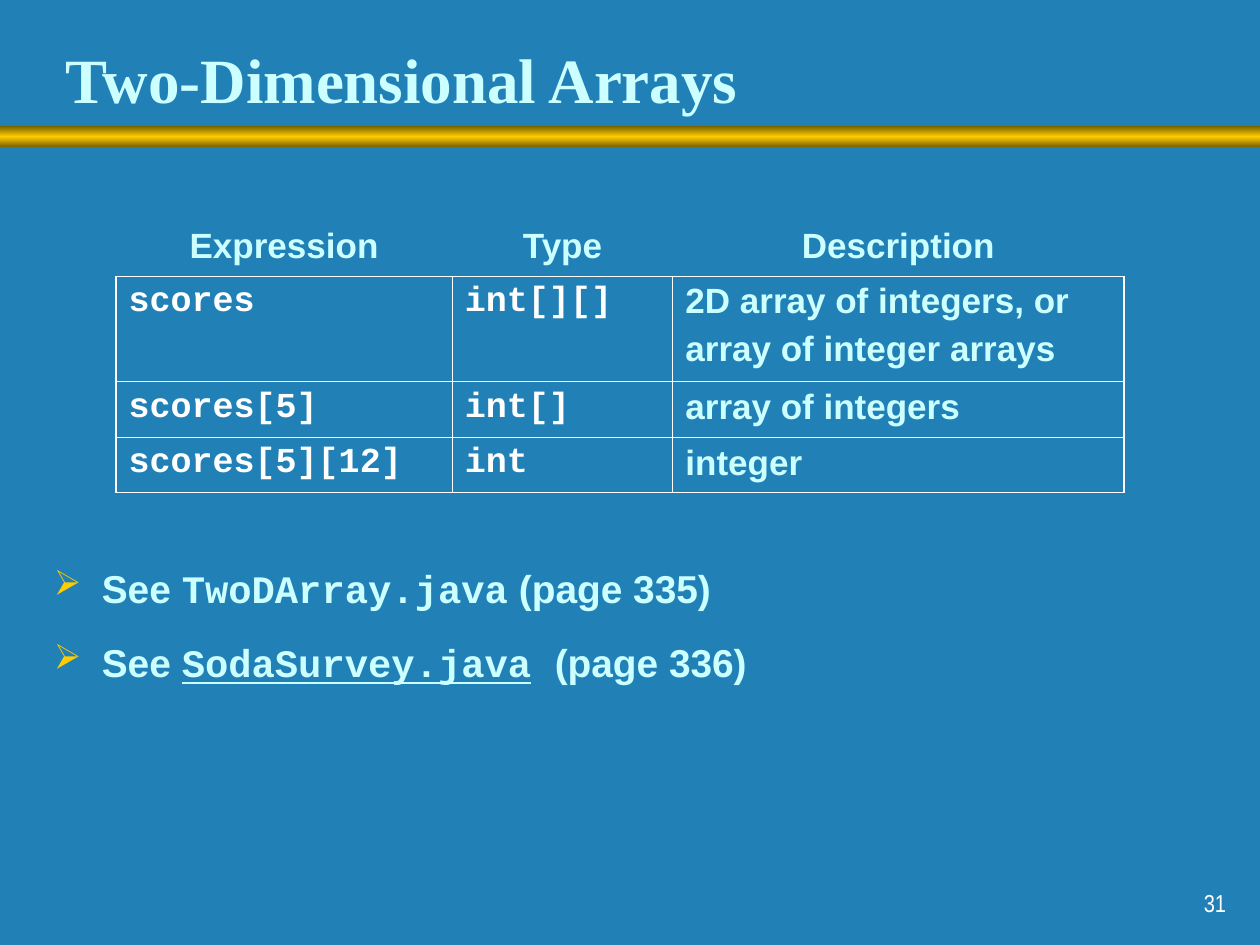
from dataclasses import dataclass

from lxml import etree
from pptx import Presentation
from pptx.dml.color import RGBColor
from pptx.enum.shapes import MSO_SHAPE as Shape
from pptx.enum.text import MSO_ANCHOR as Anchor, PP_ALIGN as Align
from pptx.oxml.ns import qn
from pptx.util import Inches, Pt

BLUE = RGBColor(0x21, 0x81, 0xB7)
PALE = RGBColor(0xCC, 0xFF, 0xFF)
WHITE = RGBColor(0xFF, 0xFF, 0xFF)
GOLD = RGBColor(0xFF, 0xCC, 0x00)
BROWN = RGBColor(0x75, 0x5E, 0x00)

SANS, MONO = "Arial", "Courier New"
THIN, THICK = 0.45, 1.08
TITLE = dict(name="Times New Roman", size=Pt(36), bold=True, color=PALE)
LABEL = dict(name=SANS, size=Pt(20), bold=True, color=PALE)
CODE = LABEL | dict(name=MONO, color=WHITE)
BODY = LABEL | dict(size=Pt(22.2))
FILE = BODY | dict(name=MONO)
NUMBER = dict(name="Arial Narrow", size=Pt(14), color=WHITE)

HEADERS = ("Expression", "Type", "Description")
ROWS = (
    ("scores", "int[][]", "2D array of integers, or\narray of integer arrays"),
    ("scores[5]", "int[]", "array of integers"),
    ("scores[5][12]", "int", "integer"),
)
COL_WIDTHS = (2.67, 1.75, 3.58)
ROW_HEIGHTS = (0.44, 0.84, 0.44, 0.44)


@dataclass
class Run:
    text: str
    style: dict


BULLETS = (
    (Run("See ", BODY), Run("TwoDArray.java", FILE), Run(" (page 335)", BODY)),
    (Run("See ", BODY), Run("SodaSurvey.java", FILE | dict(underline=True)),
     Run(" ", FILE), Run("(page 336)", BODY)),
)


def add_run(p, run: Run) -> None:
    r = p.add_run()
    r.text = run.text
    for key, value in run.style.items():
        if key == "color":
            r.font.color.rgb = value
        else:
            setattr(r.font, key, value)


def add_box(s, left: float, top: float, width: float, height: float,
            anchor=Anchor.TOP):
    tf = s.shapes.add_textbox(*map(Inches, (left, top, width, height))).text_frame
    tf.word_wrap = True
    tf.vertical_anchor = anchor
    return tf


def add_band(s) -> None:
    """Gold bar under the title, darker at its top and bottom edges."""
    sp = s.shapes.add_shape(Shape.RECTANGLE, 0, Inches(1), Inches(10), Inches(0.17))
    sp.shadow.inherit = False
    sp.line.fill.background()
    sp.fill.gradient()
    sp.fill.gradient_angle = 270
    stops = sp.fill._fill._gradFill.find(qn("a:gsLst"))
    for old in list(stops):
        stops.remove(old)
    for percent, color in ((0, BROWN), (50, GOLD), (100, BROWN)):
        stop = etree.SubElement(stops, qn("a:gs"), pos=str(percent * 1000))
        etree.SubElement(stop, qn("a:srgbClr"), val=str(color))


def set_borders(cell, widths: dict) -> None:
    """Draw the edges given in points; an edge of 0 is hidden."""
    tc_pr = cell._tc.get_or_add_tcPr()
    for edge in "LRTB":
        width = widths[edge]
        ln = etree.SubElement(tc_pr, qn(f"a:ln{edge}"), w=str(int(Pt(width))))
        if width:
            fill = etree.SubElement(ln, qn("a:solidFill"))
            etree.SubElement(fill, qn("a:srgbClr"), val=str(WHITE))
        else:
            etree.SubElement(ln, qn("a:noFill"))


def fill_cell(cell, text: str, style: dict, align=Align.LEFT) -> None:
    tf = cell.text_frame
    for i, line in enumerate(text.split("\n")):
        p = tf.add_paragraph() if i else tf.paragraphs[0]
        p.alignment = align
        if i:
            p.space_before = Pt(5)
        add_run(p, Run(line, style))


def add_type_table(s) -> None:
    grid = (HEADERS, *ROWS)
    last_row, last_col = len(grid) - 1, len(HEADERS) - 1
    table = s.shapes.add_table(
        len(grid), len(HEADERS), Inches(0.92), Inches(1.75),
        Inches(sum(COL_WIDTHS)), Inches(sum(ROW_HEIGHTS))).table
    table.first_row = table.horz_banding = False
    for column, width in zip(table.columns, COL_WIDTHS):
        column.width = Inches(width)
    for row, height in zip(table.rows, ROW_HEIGHTS):
        row.height = Inches(height)
    for i, texts in enumerate(grid):
        for j, text in enumerate(texts):
            cell = table.cell(i, j)
            if i == 0:
                fill_cell(cell, text, LABEL, Align.CENTER)
                set_borders(cell, dict(L=0, R=0, T=0, B=THIN))
            else:
                fill_cell(cell, text, LABEL if j == last_col else CODE)
                set_borders(cell, dict(
                    L=THICK if j == 0 else THIN,
                    R=THICK if j == last_col else THIN,
                    T=THIN,
                    B=THICK if i == last_row else THIN))
            cell.fill.background()


def set_bullet(p) -> None:
    p_pr = p._p.get_or_add_pPr()
    p_pr.set("marL", str(Inches(0.38)))
    p_pr.set("indent", str(Inches(-0.38)))
    color = etree.SubElement(p_pr, qn("a:buClr"))
    etree.SubElement(color, qn("a:srgbClr"), val=str(GOLD))
    etree.SubElement(p_pr, qn("a:buSzPct"), val="90000")
    etree.SubElement(p_pr, qn("a:buChar"), char="➢")


def add_bullets(s) -> None:
    tf = add_box(s, 0.33, 4.5, 9.08, 1.08)
    for i, runs in enumerate(BULLETS):
        p = tf.add_paragraph() if i else tf.paragraphs[0]
        set_bullet(p)
        p.line_spacing = 0.8
        if i:
            p.space_before = Pt(21)
        for run in runs:
            add_run(p, run)


def main() -> None:
    prs = Presentation()
    prs.slide_width, prs.slide_height = Inches(10), Inches(7.5)
    s = prs.slides.add_slide(prs.slide_layouts[6])
    s.background.fill.solid()
    s.background.fill.fore_color.rgb = BLUE

    add_band(s)
    title = add_box(s, 0.42, 0.22, 8.55, 0.75, Anchor.BOTTOM)
    add_run(title.paragraphs[0], Run("Two-Dimensional Arrays", TITLE))
    add_type_table(s)
    add_bullets(s)
    p = add_box(s, 7.75, 6.83, 2.08, 0.5, Anchor.BOTTOM).paragraphs[0]
    p.alignment = Align.RIGHT
    add_run(p, Run("31", NUMBER))

    prs.save("out.pptx")


if __name__ == "__main__":
    main()
